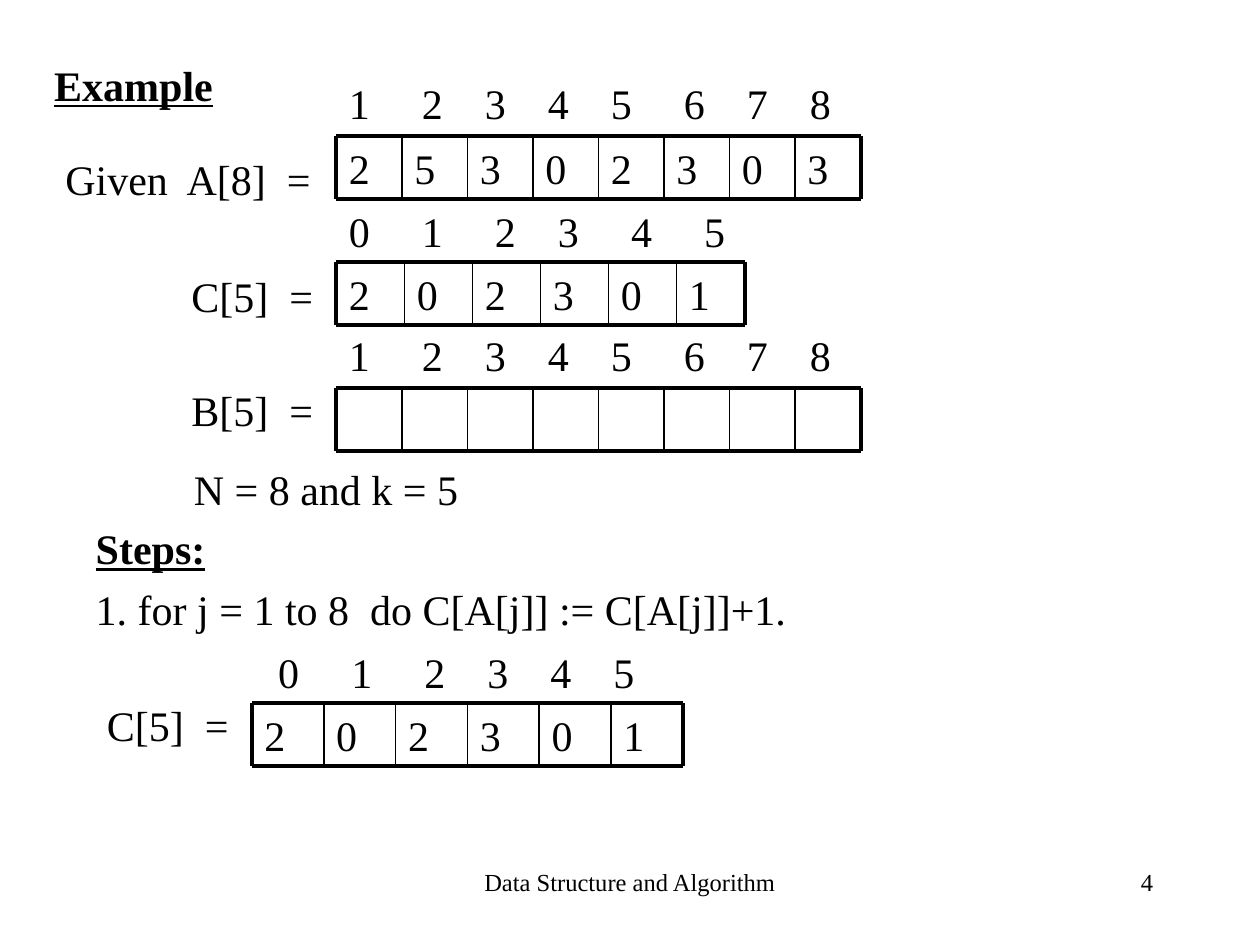
"""Build the counting sort example slide."""
from pptx import Presentation
from pptx.dml.color import RGBColor
from pptx.enum.shapes import MSO_CONNECTOR
from pptx.enum.text import MSO_ANCHOR, MSO_AUTO_SIZE, PP_ALIGN
from pptx.oxml.ns import qn
from pptx.util import Inches, Pt
from lxml import etree

LEFT, MID, RIGHT = PP_ALIGN.LEFT, PP_ALIGN.CENTER, PP_ALIGN.RIGHT
TOP, FIXED = MSO_ANCHOR.TOP, MSO_AUTO_SIZE.NONE
LINE = MSO_CONNECTOR.STRAIGHT
BLACK = RGBColor(0, 0, 0)
FACE = "Times New Roman"
ROW = 0.5
THICK, THIN = 2.25, 1
S, L = 0.5, 0.58

TITLE = "Example"
STEPS = ["Steps:", "1. for j = 1 to 8  do C[A[j]] := C[A[j]]+1."]
LABELS = [
    ("Given  A[8]  =", 0.42, 1.17, 2.2),
    ("C[5]  =", 1.42, 2.1, 1.25),
    ("B[5]  =", 1.42, 3, 1.25),
    ("N = 8 and k = 5", 1.44, 3.63, 3),
    ("C[5]  =", 0.75, 5.5, 1.25),
]
# Values, left, top, cell width
GRIDS = [
    (["2", "5", "3", "0", "2", "3", "0", "3"], 2.67, 1.08, 0.52),
    (["2", "0", "2", "3", "0", "1"], 2.67, 2.08, 0.54),
    ([""] * 8, 2.67, 3.08, 0.52),
    (["2", "0", "2", "3", "0", "1"], 2, 5.58, 0.57),
]
# First index, steps to the next ones, left, top
HEADS = [
    (1, [L, S, S, S, L, S, S], 2.67, 0.57),
    (0, [L, L, S, L, L], 2.67, 1.58),
    (1, [L, S, S, S, L, S, S], 2.67, 2.57),
    (0, [L, L, S, S, S], 2.11, 5.08),
]
FOOT = [
    ("Data Structure and Algorithm", 3.42, 3.16, MID),
    ("4", 7.17, 2.08, RIGHT),
]


def style(par, size=24, strong=False, align=LEFT, before=0):
    par.alignment = align
    par.space_before = Pt(before)
    font = par.font
    font.name, font.size = FACE, Pt(size)
    font.bold = font.underline = strong
    font.color.rgb = BLACK


def place(shape, x, y, w, h):
    shape.left, shape.top = Inches(x), Inches(y)
    shape.width, shape.height = Inches(w), Inches(h)
    frame = shape.text_frame
    frame.auto_size, frame.vertical_anchor = FIXED, TOP


def write(shapes, text, x, y, w, before=15, size=24, align=LEFT, stops=()):
    box = shapes.add_textbox(0, 0, 0, 0)
    place(box, x, y, w, ROW)
    box.text_frame.word_wrap = True
    box.text_frame.text = text
    par = box.text_frame.paragraphs[0]
    if stops:
        tabs = etree.SubElement(par._p.get_or_add_pPr(), qn("a:tabLst"))
        for stop in stops:
            etree.SubElement(tabs, qn("a:tab"), pos=str(Inches(stop)), algn="l")
    style(par, size, align=align, before=before)


def rule(shapes, x1, y1, x2, y2, width):
    line = shapes.add_connector(LINE, Inches(x1), Inches(y1), Inches(x2), Inches(y2))
    line.line.color.rgb = BLACK
    line.line.width = Pt(width)
    etree.SubElement(line._element.spPr, qn("a:effectLst"))


def grid(shapes, cells, x, y, step):
    count = len(cells)
    end, base = x + count * step, y + ROW
    for i, cell in enumerate(cells):
        if cell:
            write(shapes, cell, x + i * step, y, step, before=6)
    for level in (y, base):
        rule(shapes, x, level, end, level, THICK)
    for i in range(count + 1):
        at = x + i * step
        rule(shapes, at, y, at, base, THICK if i in (0, count) else THIN)


def main():
    deck = Presentation()
    deck.slide_width, deck.slide_height = Inches(10), Inches(7.5)
    slide = deck.slides.add_slide(deck.slide_layouts[1])
    shapes = slide.shapes

    title, body = shapes.title, slide.placeholders[1]
    title.text_frame.text = TITLE
    place(title, 0.33, 0.42, 2, ROW)
    style(title.text_frame.paragraphs[0], strong=True, before=15)

    body.text_frame.text = "\n".join(STEPS)
    place(body, 0.66, 4.02, 5.68, 1.06)
    body.text_frame.word_wrap = False
    for i, par in enumerate(body.text_frame.paragraphs):
        par.line_spacing = 1.2
        props = par._p.get_or_add_pPr()
        props.set("marL", "0")
        props.set("indent", "0")
        etree.SubElement(props, qn("a:buNone"))
        style(par, strong=i == 0)

    for text, x, y, w in LABELS:
        write(shapes, text, x, y, w)
    for cells, x, y, step in GRIDS:
        grid(shapes.add_group_shape().shapes, cells, x, y, step)
    for first, steps, x, y in HEADS:
        text = "\t".join(str(first + i) for i in range(len(steps) + 1))
        stops = [sum(steps[:i + 1]) for i in range(len(steps))]
        write(shapes, text, x, y, 4.17, stops=stops)
    for text, x, w, align in FOOT:
        write(shapes, text, x, 6.83, w, before=0, size=14, align=align)

    deck.save("out.pptx")


if __name__ == "__main__":
    main()
